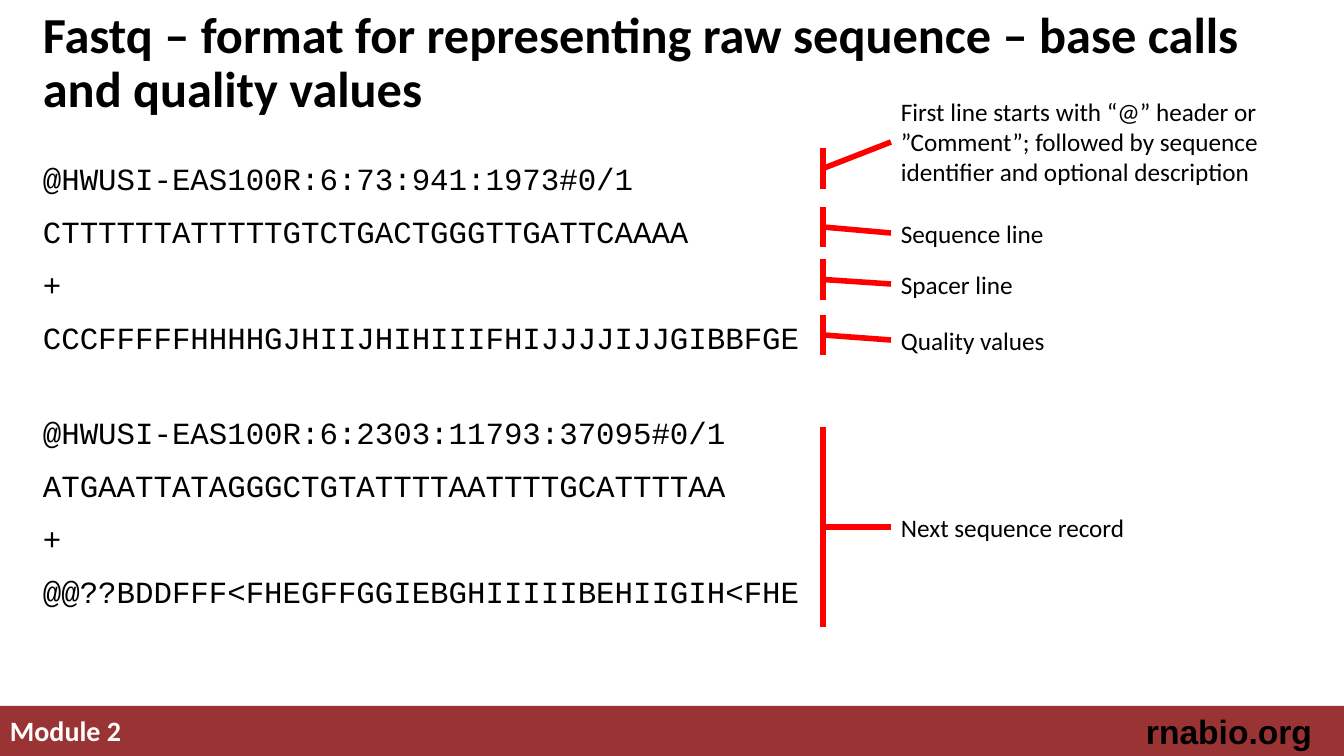
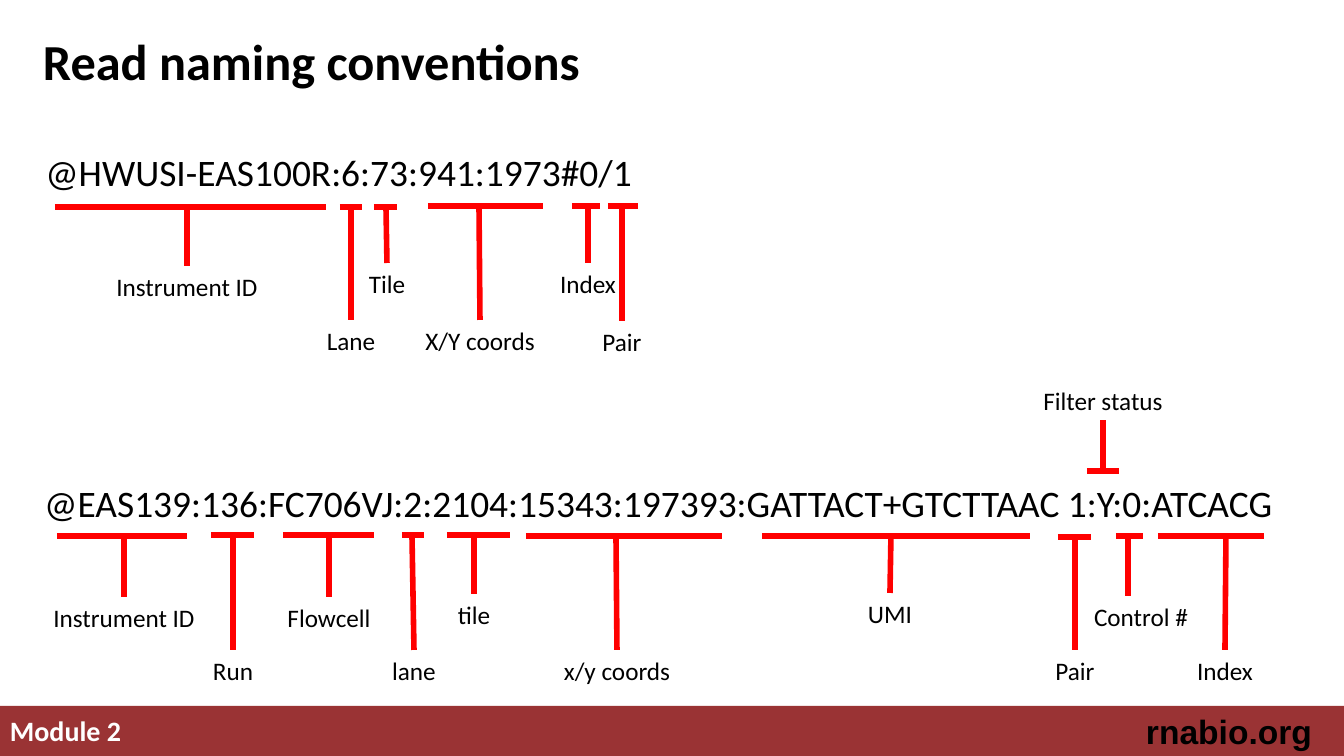
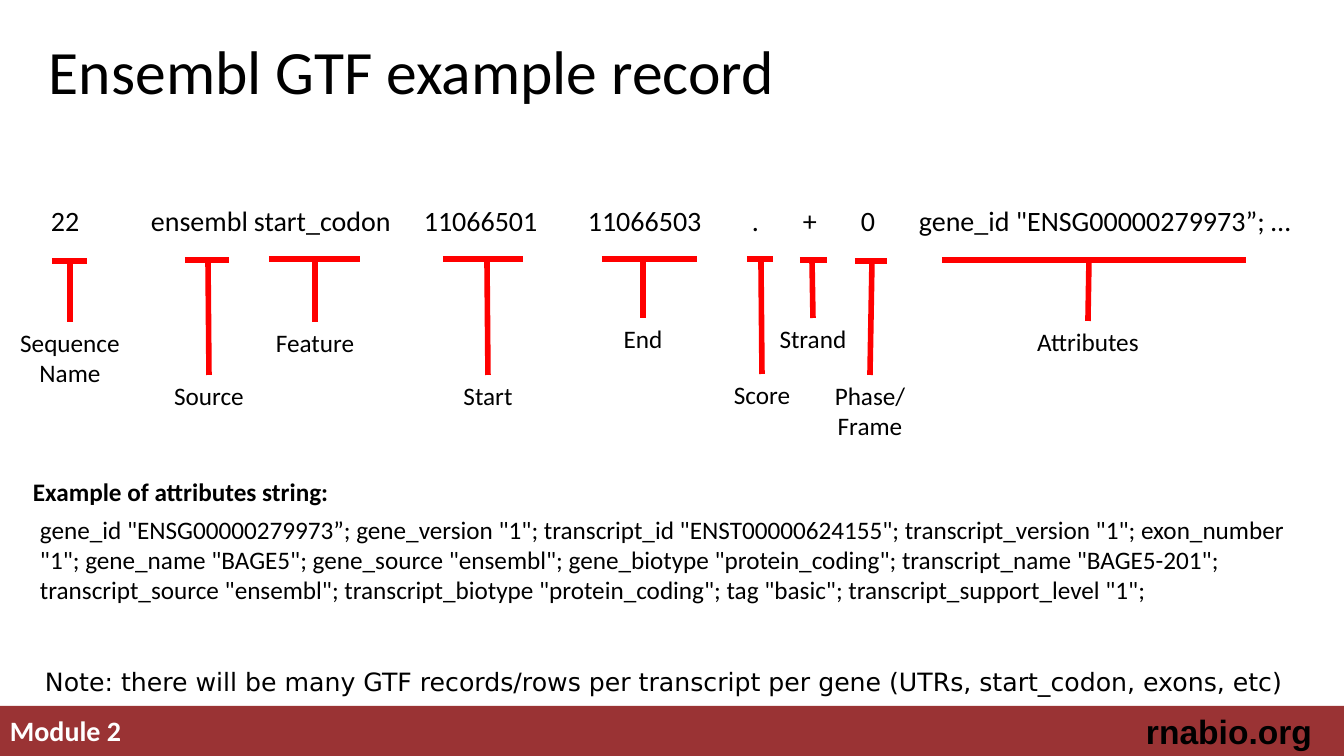
"""Build three slides on sequence read and gene annotation file formats."""
from dataclasses import dataclass

from lxml.etree import SubElement
from pptx import Presentation
from pptx.dml.color import RGBColor
from pptx.enum.shapes import MSO_CONNECTOR, MSO_SHAPE
from pptx.enum.text import MSO_ANCHOR, PP_ALIGN
from pptx.oxml.ns import qn
from pptx.util import Inches, Pt

SCALE = Inches(7.5) / 756


@dataclass(frozen=True)
class Theme:
    band: RGBColor = RGBColor.from_string("9A3334")
    ink: RGBColor = RGBColor.from_string("000000")
    white: RGBColor = RGBColor.from_string("FFFFFF")
    mark: RGBColor = RGBColor.from_string("FF0000")
    font: str = "Calibri"
    code_font: str = "Courier New"
    footer_font: str = "Arial"
    note_font: str = "DejaVu Sans"
    big_title: float = 44
    title: float = 36
    read_name: float = 26.7
    site: float = 24
    code: float = 22
    record: float = 20
    label: float = 18
    line: float = 4


theme = Theme()


def add_text(page, text, area, size=theme.label, font=theme.font, color=theme.ink, bold=False,
             align=PP_ALIGN.LEFT, anchor=MSO_ANCHOR.TOP, spacing=1.0, before=0, tabs=()):
    box = page.shapes.add_textbox(*[round(value * SCALE) for value in area])
    frame = box.text_frame
    frame.word_wrap = True
    frame.vertical_anchor = anchor
    for index, line in enumerate(text.split("\n")):
        para = frame.add_paragraph() if index else frame.paragraphs[0]
        para.alignment = align
        if tabs:
            stops = SubElement(para._p.get_or_add_pPr(), qn("a:tabLst"))
            for stop in tabs:
                SubElement(stops, qn("a:tab"), pos=str(round(stop * SCALE)), algn="l")
        para.line_spacing = spacing
        para.space_before = Pt(before if index else 0)
        span = para.add_run()
        span.text = line
        span.font.size = Pt(size)
        span.font.name = font
        span.font.bold = bold
        span.font.color.rgb = color
    return box


def add_line(page, *ends):
    line = page.shapes.add_connector(MSO_CONNECTOR.STRAIGHT, *[round(value * SCALE) for value in ends])
    line.line.color.rgb = theme.mark
    line.line.width = Pt(theme.line)
    SubElement(line._element.spPr, qn("a:effectLst"))
    return line


deck = Presentation()
deck.slide_width = round(1344 * SCALE)
deck.slide_height = round(756 * SCALE)

titles = [
    ("Fastq – format for representing raw sequence – base calls and quality values",
     (33, 12, 1288, 105), theme.title, True),
    ("Read naming conventions", (33, 12, 1288, 105), theme.title, True),
    ("Ensembl GTF example record", (39, 2, 1271, 146), theme.big_title, False),
]
pages = []
for title, area, size, bold in titles:
    page = deck.slides.add_slide(deck.slide_layouts[6])
    band = page.shapes.add_shape(MSO_SHAPE.RECTANGLE, *[round(value * SCALE) for value in (0, 706, 1344, 50)])
    band.shadow.inherit = False
    band.fill.solid()
    band.fill.fore_color.rgb = theme.band
    band.line.fill.background()
    add_text(page, "Module 2", (0, 709, 739, 43), size=theme.record, color=theme.white, bold=True)
    add_text(page, "rnabio.org", (1062, 706, 260, 50), size=theme.site, font=theme.footer_font,
             bold=True, align=PP_ALIGN.RIGHT)
    add_text(page, title, area, size=size, bold=bold, anchor=MSO_ANCHOR.MIDDLE, spacing=0.9)
    pages.append(page)
fastq_page, naming_page, gtf_page = pages

reads = [
    (155, "@HWUSI-EAS100R:6:73:941:1973#0/1\nCTTTTTTATTTTTGTCTGACTGGGTTGATTCAAAA\n+\n"
          "CCCFFFFFHHHHGJHIIJHIHIIIFHIJJJJIJJGIBBFGE"),
    (409, "@HWUSI-EAS100R:6:2303:11793:37095#0/1\nATGAATTATAGGGCTGTATTTTAATTTTGCATTTTAA\n+\n"
          "@@??BDDFFF<FHEGFFGGIEBGHIIIIIBEHIIGIH<FHE"),
]
for top, read in reads:
    add_text(fastq_page, read, (33, top, 885, 210), size=theme.code, font=theme.code_font, before=11.4)

callouts = [
    ("First line starts with “@” header or ”Comment”; followed by sequence identifier and optional description",
     91, 102, 148, 189),
    ("Sequence line", 213, 40, 207, 247),
    ("Spacer line", 264, 40, 259, 300),
    ("Quality values", 320, 40, 315, 355),
    ("Next sequence record", 507, 40, 427, 627),
]
for text, top, height, bar_top, bar_bottom in callouts:
    box = add_text(fastq_page, text, (891, top, 420, height))
    add_line(fastq_page, 823, bar_top, 823, bar_bottom)
    leader = add_line(fastq_page, 891, top + height / 2, 823, (bar_top + bar_bottom) / 2)
    leader.begin_connect(box, 1)

add_text(naming_page, "@HWUSI-EAS100R:6:73:941:1973#0/1", (10, 149, 658, 97),
         size=theme.read_name, align=PP_ALIGN.CENTER, spacing=0.9)
add_text(naming_page, "@EAS139:136:FC706VJ:2:2104:15343:197393:GATTACT+GTCTTAAC 1:Y:0:ATCACG",
         (15, 480, 1288, 97), size=theme.read_name, align=PP_ALIGN.CENTER, spacing=0.9)

fields = [
    ("22", 51), ("ensembl", 151), ("start_codon", 254), ("11066501", 424), ("11066503", 588),
    (".", 752), ("+", 803), ("0", 861), ('gene_id "ENSG00000279973”; …', 919),
]
add_text(gtf_page, "\t".join(text for text, left in fields), (41, 202, 1283, 58), size=theme.record,
         spacing=0.9, tabs=[left - 51 for text, left in fields[1:]])

naming_markers = [
    ("Instrument ID", 55, 326, 207, 187, 187, 163, 266),
    ("Lane", 340, 362, 207, 351, 351, 70, 320),
    ("Tile", 374, 397, 207, 386, 387, 57, 263),
    ("X/Y coords", 428, 543, 206, 479, 480, 131, 320),
    ("Index", 572, 600, 206, 588, 588, 77, 263),
    ("Pair", 608, 638, 206, 622, 622, 65, 321),
    ("Instrument ID", 57, 187, 536, 124, 124, 163, 597),
    ("Run", 211, 254, 535, 233, 233, 66, 650),
    ("Flowcell", 283, 374, 535, 329, 329, 116, 597),
    ("lane", 402, 424, 535, 412, 414, 65, 650),
    ("tile", 447, 510, 535, 474, 474, 53, 594),
    ("x/y coords", 526, 722, 536, 616, 617, 128, 650),
    ("UMI", 762, 1030, 536, 891, 890, 65, 593),
    ("Pair", 1058, 1091, 537, 1075, 1075, 65, 650),
    ("Control #", 1116, 1143, 536, 1128, 1141, 122, 596),
    ("Index", 1158, 1264, 536, 1226, 1225, 77, 650),
    ("Filter status", 1087, 1119, 471, 1103, 1103, 145, 380),
]
gtf_markers = [
    ("Sequence Name", 52, 87, 261, 70, 70, 132, 322),
    ("Source", 185, 229, 260, 208, 209, 112, 375),
    ("Feature", 269, 360, 259, 315, 315, 116, 322),
    ("Start", 443, 523, 259, 487, 488, 70, 375),
    ("End", 602, 697, 259, 643, 643, 59, 318),
    ("Score", 747, 773, 259, 761, 762, 78, 374),
    ("Strand", 800, 827, 260, 812, 813, 92, 318),
    ("Phase/Frame", 855, 887, 261, 872, 870, 93, 375),
    ("Attributes", 942, 1246, 260, 1089, 1088, 162, 321),
]
for page, markers in ((naming_page, naming_markers), (gtf_page, gtf_markers)):
    for text, bar_left, bar_right, bar_y, stem, centre, width, top in markers:
        height = 72 if text in ("Sequence Name", "Phase/Frame") else 40
        box = add_text(page, text, (centre - width / 2, top, width, height), align=PP_ALIGN.CENTER)
        add_line(page, bar_left, bar_y, bar_right, bar_y)
        above = top < bar_y
        line = add_line(page, stem, bar_y, stem, top + height if above else top)
        if abs(stem - centre) <= 2:
            line.end_connect(box, 2 if above else 0)

add_text(gtf_page, "Example of attributes string:", (23, 471, 335, 40), bold=True)
add_text(gtf_page,
         'gene_id "ENSG00000279973”; gene_version "1"; transcript_id "ENST00000624155"; '
         'transcript_version "1"; exon_number "1"; gene_name "BAGE5"; gene_source "ensembl"; '
         'gene_biotype "protein_coding"; transcript_name "BAGE5-201"; transcript_source "ensembl"; '
         'transcript_biotype "protein_coding"; tag "basic"; transcript_support_level "1";',
         (30, 509, 1271, 102))
add_text(gtf_page,
         "Note: there will be many GTF records/rows per transcript per gene (UTRs, start_codon, exons, etc)",
         (35, 661, 1294, 40), font=theme.note_font)

deck.save("out.pptx")
